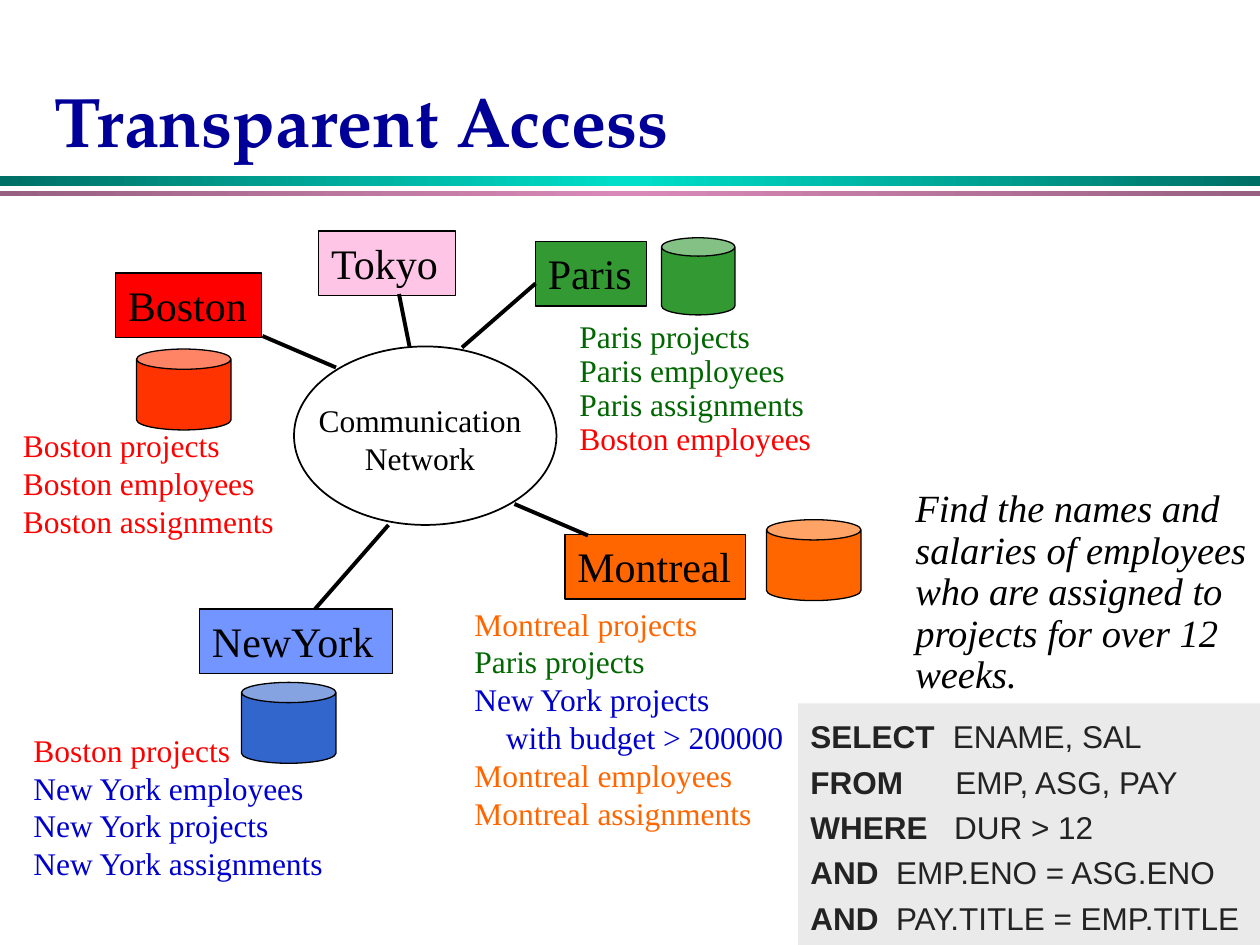
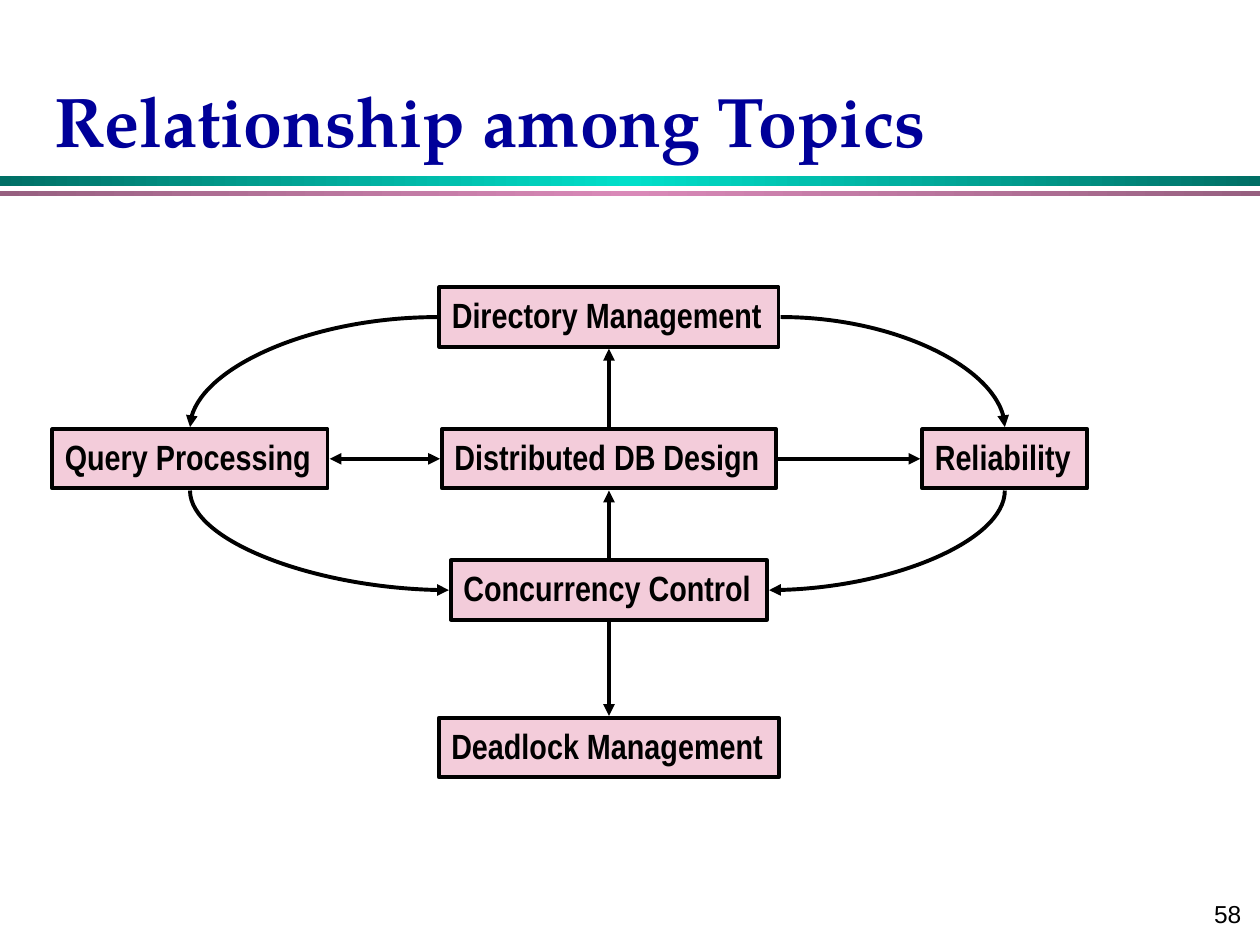
from collections import namedtuple
from math import cos, radians, sin

from lxml.etree import SubElement
from pptx import Presentation
from pptx.dml.color import RGBColor
from pptx.enum.shapes import MSO_CONNECTOR as Connector, MSO_SHAPE as Preset
from pptx.enum.text import MSO_ANCHOR as Anchor, PP_ALIGN as Align
from pptx.oxml.ns import qn
from pptx.util import Inches, Pt

# The slide is a grid of 120 columns by 90 rows, 12 to the inch.
COLUMNS, ROWS, PER_INCH = 120, 90, 12

BLACK = RGBColor(0x00, 0x00, 0x00)
TITLE_BLUE = RGBColor(0x00, 0x00, 0x99)
TEAL_DARK, TEAL = RGBColor(0x00, 0x6F, 0x65), RGBColor(0x00, 0xDF, 0xCA)
MAUVE_DARK, MAUVE = RGBColor(0x97, 0x60, 0x80), RGBColor(0xD9, 0x89, 0xB8)
RED, RED_DISK = RGBColor(0xFF, 0x00, 0x00), RGBColor(0xFF, 0x33, 0x00)
PINK = RGBColor(0xFF, 0xC5, 0xE7)
GREEN, GREEN_TEXT = RGBColor(0x33, 0x99, 0x33), RGBColor(0x00, 0x66, 0x00)
SKY, BLUE_DISK = RGBColor(0x73, 0x95, 0xFF), RGBColor(0x33, 0x66, 0xCC)
BLUE_TEXT = RGBColor(0x00, 0x00, 0xCC)
ORANGE = RGBColor(0xFF, 0x66, 0x00)
QUERY_FILL, QUERY_TEXT = RGBColor(0xEA, 0xEA, 0xEA), RGBColor(0x23, 0x23, 0x23)
TOPIC_FILL = RGBColor(0xF3, 0xCC, 0xDA)

SERIF, SANS, NARROW = "Times New Roman", "Arial", "Arial Narrow"
TITLE_FONT = "TeX Gyre Pagella"


class Box(namedtuple("Box", "left top width height")):
    """A rectangle in grid units."""

    def offset(self, column, row, width, height):
        """Return a box whose corner is offset from this one's."""
        return Box(self.left + column, self.top + row, width, height)

    def lengths(self):
        """Return the four lengths for python-pptx."""
        return [grid(value) for value in self]

    def side(self, name, gap=0.2):
        """Return the middle of one side, moved outwards by the gap."""
        middle = self.left + self.width / 2
        centre = self.top + self.height / 2
        return {"left": (self.left - gap, centre),
                "right": (self.left + self.width + gap, centre),
                "top": (middle, self.top - gap),
                "bottom": (middle, self.top + self.height + gap)}[name]


PAGE = Box(0, 0, COLUMNS, ROWS)


def grid(units):
    """Turn grid units into a length."""
    return Inches(units / PER_INCH)


def write_text(shape, lines, font=SERIF, size=18, color=BLACK, bold=False,
               italic=False, align=Align.LEFT, anchor=Anchor.TOP,
               spacing=1.0, wrap=True):
    """Fill a shape with lines; a line is text or (text, run changes) pairs."""
    frame = shape.text_frame
    frame.word_wrap, frame.vertical_anchor = wrap, anchor
    for index, line in enumerate(lines):
        paragraph = frame.add_paragraph() if index else frame.paragraphs[0]
        paragraph.alignment, paragraph.line_spacing = align, spacing
        for text, changes in [(line, {})] if isinstance(line, str) else line:
            run = paragraph.add_run()
            run.text = text
            run.font.name, run.font.size = font, Pt(size)
            run.font.bold = changes.get("bold", bold)
            run.font.italic = italic
            run.font.color.rgb = changes.get("color", color)
    return frame


def add_label(slide, box, lines, **text_format):
    """Add a text box."""
    return write_text(slide.shapes.add_textbox(*box.lengths()), lines, **text_format)


def add_figure(slide, preset, box, fill=None, outline=None):
    """Add a preset shape; outline is a width in points, or None."""
    shape = slide.shapes.add_shape(preset, *box.lengths())
    shape.shadow.inherit = False
    if fill is None:
        shape.fill.background()
    else:
        shape.fill.solid()
        shape.fill.fore_color.rgb = fill
    if outline is None:
        shape.line.fill.background()
    else:
        shape.line.color.rgb, shape.line.width = BLACK, Pt(outline)
    return shape


def add_link(slide, start, end, arrows=(), angle=None):
    """Join two grid points; an angle makes a quarter curve turned by it."""
    centre = [(a + b) / 2 for a, b in zip(start, end)]
    turn = radians(-(angle or 0))

    def unturned(point):
        x, y = point[0] - centre[0], point[1] - centre[1]
        return (grid(centre[0] + x * cos(turn) - y * sin(turn)),
                grid(centre[1] + x * sin(turn) + y * cos(turn)))

    kind = Connector.STRAIGHT if angle is None else Connector.CURVE
    link = slide.shapes.add_connector(kind, *unturned(start), *unturned(end))
    link.line.color.rgb, link.line.width = BLACK, Pt(2.25)
    properties = link.element.spPr
    if angle is not None:
        properties.find(qn("a:prstGeom")).set("prst", "curvedConnector2")
        properties.find(qn("a:xfrm")).set("rot", str(angle * 60000))
    for end_name in arrows:
        SubElement(properties.find(qn("a:ln")), qn("a:" + end_name), type="triangle")
    SubElement(properties, qn("a:effectLst"))


def add_band(slide, box, edge, middle):
    """Add a bar that shades from edge to middle and back."""
    band = add_figure(slide, Preset.RECTANGLE, box)
    band.fill.gradient()
    band.fill.gradient_angle = 0
    stops = band.element.spPr.find(".//" + qn("a:gsLst"))
    for stop in list(stops):
        stops.remove(stop)
    for percent, color in ((0, edge), (50, middle), (100, edge)):
        stop = SubElement(stops, qn("a:gs"), pos=str(percent * 1000))
        SubElement(stop, qn("a:srgbClr"), val=str(color))


def add_page(presentation, title, number=None):
    """Add a slide with bands, title and, if given, a page number."""
    slide = presentation.slides.add_slide(presentation.slide_layouts[6])
    add_band(slide, PAGE.offset(0, 16.8, COLUMNS, 0.96), TEAL_DARK, TEAL)
    add_band(slide, PAGE.offset(0, 18.24, COLUMNS, 0.48), MAUVE_DARK, MAUVE)
    add_label(slide, PAGE.offset(4, 3, 111, 13), [title], font=TITLE_FONT, size=40,
              color=TITLE_BLUE, bold=True, anchor=Anchor.BOTTOM)
    if number:
        add_label(slide, PAGE.offset(95, 84, 24.4, 6), [number], font=SANS, size=14,
                  align=Align.RIGHT, anchor=Anchor.MIDDLE)
    return slide


def add_city(slide, box, name, fill, disk=None, disk_fill=None, data=None,
             lines=(), spacing=1.0):
    """Add a name plate at the box, with disk and data list offset from it."""
    plate = add_figure(slide, Preset.RECTANGLE, box, fill, 0.75)
    write_text(plate, [name], size=24, wrap=False)
    if disk:
        add_figure(slide, Preset.CAN, box.offset(*disk), disk_fill, 0.75)
    if data:
        return add_label(slide, box.offset(*data),
                         [[(text, {"color": color})] for text, color in lines],
                         spacing=spacing)


def add_network(slide, box):
    """Add the central network and the five lines to the cities."""
    for start, end in (((-3, -1), (4, 2)), ((2, 25), (9, 17)), ((16, 0.1), (23, -6)),
                       ((11, 0), (10, -5)), ((21, 15), (28, 18))):
        add_link(slide, *[(box.left + x, box.top + y) for x, y in (start, end)])
    add_figure(slide, Preset.OVAL, box, outline=1)
    add_label(slide, box.offset(1.15, 4.6, 21.7, 8.4), ["Communication", "Network"],
              align=Align.CENTER, wrap=False)


def add_query(slide, box):
    """Add the question in words and, below it, in SQL."""
    add_label(slide, box.offset(10, 0, 37, 21),
              ["Find the names and salaries of employees who are assigned "
               "to projects for over 12 weeks."], size=22, italic=True, spacing=0.9)
    clauses = (("SELECT", "ENAME, SAL", 1.13), ("FROM", "EMP, ASG, PAY", 1.15),
               ("WHERE", "DUR > 12", 1.14), ("AND", "EMP.ENO = ASG.ENO", 0.68),
               ("AND", "PAY.TITLE = EMP.TITLE", 0.68))
    panel = add_figure(slide, Preset.RECTANGLE,
                       box.offset(0, 21, box.width, box.height - 21), QUERY_FILL)
    frame = write_text(panel, [[(keyword, {"bold": True}), ("\t" + rest, {})]
                               for keyword, rest, _ in clauses],
                       font=SANS, color=QUERY_TEXT, spacing=1.2)
    for paragraph, (_, _, stop) in zip(frame.paragraphs, clauses):
        tabs = SubElement(paragraph._p.get_or_add_pPr(), qn("a:tabLst"))
        SubElement(tabs, qn("a:tab"), pos=str(Inches(stop)), algn="l")


def build_access(presentation):
    """Build the slide on transparent access."""
    slide = add_page(presentation, "Transparent Access")
    add_query(slide, Box(76, 46, 44, 44))
    add_city(slide, Box(51, 23, 10.6, 6.15), "Paris", GREEN,
             (12, -0.35, 7, 7.35), GREEN, (3, 7, 28, 17),
             [("Paris projects", GREEN_TEXT), ("Paris employees", GREEN_TEXT),
              ("Paris assignments", GREEN_TEXT), ("Boston employees", RED)], 0.9)
    add_city(slide, Box(11, 26, 13.9, 6.15), "Boston", RED,
             (2, 7.25, 9, 7.7), RED_DISK, (-10, 14, 29, 13),
             [("Boston projects", RED), ("Boston employees", RED),
              ("Boston assignments", RED)])
    add_city(slide, Box(30.36, 22, 13, 6.15), "Tokyo", PINK)
    add_city(slide, Box(19, 58, 18.4, 6.15), "NewYork", SKY,
             (4, 7, 9, 7.7), BLUE_DISK, (-17, 11, 32, 15),
             [("Boston projects", RED), ("New York employees", BLUE_TEXT),
              ("New York projects", BLUE_TEXT), ("New York assignments", BLUE_TEXT)])
    data = add_city(slide, Box(53.8, 50.9, 17.2, 6.15), "Montreal", ORANGE,
                    (19.2, -1.4, 9, 7.7), ORANGE, (-9.8, 6.1, 35, 24),
                    [("Montreal projects", ORANGE), ("Paris projects", GREEN_TEXT),
                     ("New York projects", BLUE_TEXT),
                     ("with budget > 200000", BLUE_TEXT),
                     ("Montreal employees", ORANGE), ("Montreal assignments", ORANGE)])
    condition = data.paragraphs[3]._p.get_or_add_pPr()
    condition.set("marL", str(Inches(0.25)))
    condition.set("indent", "0")
    add_network(slide, Box(28, 33, 25, 17))


def add_topics(slide, area):
    """Add the topic boxes on three columns and four rows, and their links."""
    left, middle, right = 13.1, 53, 90.7
    rows, height = (2.8, 16.3, 28.8, 43.8), 5.64
    topics = {}
    for name, centre, row, width in (
            ("Directory Management", middle, 0, 32.3),
            ("Query Processing", left, 1, 26.2),
            ("Distributed DB Design", middle, 1, 31.8),
            ("Reliability", right, 1, 15.7),
            ("Concurrency Control", middle, 2, 30.1),
            ("Deadlock Management", middle, 3, 32.4)):
        box = area.offset(centre - width / 2, rows[row] - height / 2, width, height)
        plate = add_figure(slide, Preset.RECTANGLE, box, TOPIC_FILL, 2.25)
        write_text(plate, [name], font=NARROW, size=20, bold=True, wrap=False)
        topics[name.split()[0]] = box
    for source, start, target, end, angle in (
            ("Directory", "left", "Query", "top", 180),
            ("Query", "bottom", "Concurrency", "left", 270),
            ("Reliability", "bottom", "Concurrency", "right", 90),
            ("Directory", "right", "Reliability", "top", 0),
            ("Distributed", "right", "Reliability", "left", None),
            ("Concurrency", "top", "Distributed", "bottom", None),
            ("Concurrency", "bottom", "Deadlock", "top", None),
            ("Distributed", "top", "Directory", "bottom", None),
            ("Query", "right", "Distributed", "left", None)):
        both_ways = (source, target) == ("Query", "Distributed")
        add_link(slide, topics[source].side(start), topics[target].side(end),
                 ("headEnd", "tailEnd") if both_ways else ("tailEnd",), angle)


def build_topics(presentation):
    """Build the slide on how the topics relate."""
    slide = add_page(presentation, "Relationship among Topics", "58")
    add_topics(slide, Box(5, 27.4, 99, 47))


def main():
    """Build and save the presentation."""
    presentation = Presentation()
    presentation.slide_width, presentation.slide_height = grid(COLUMNS), grid(ROWS)
    build_access(presentation)
    build_topics(presentation)
    presentation.save("out.pptx")


main()
